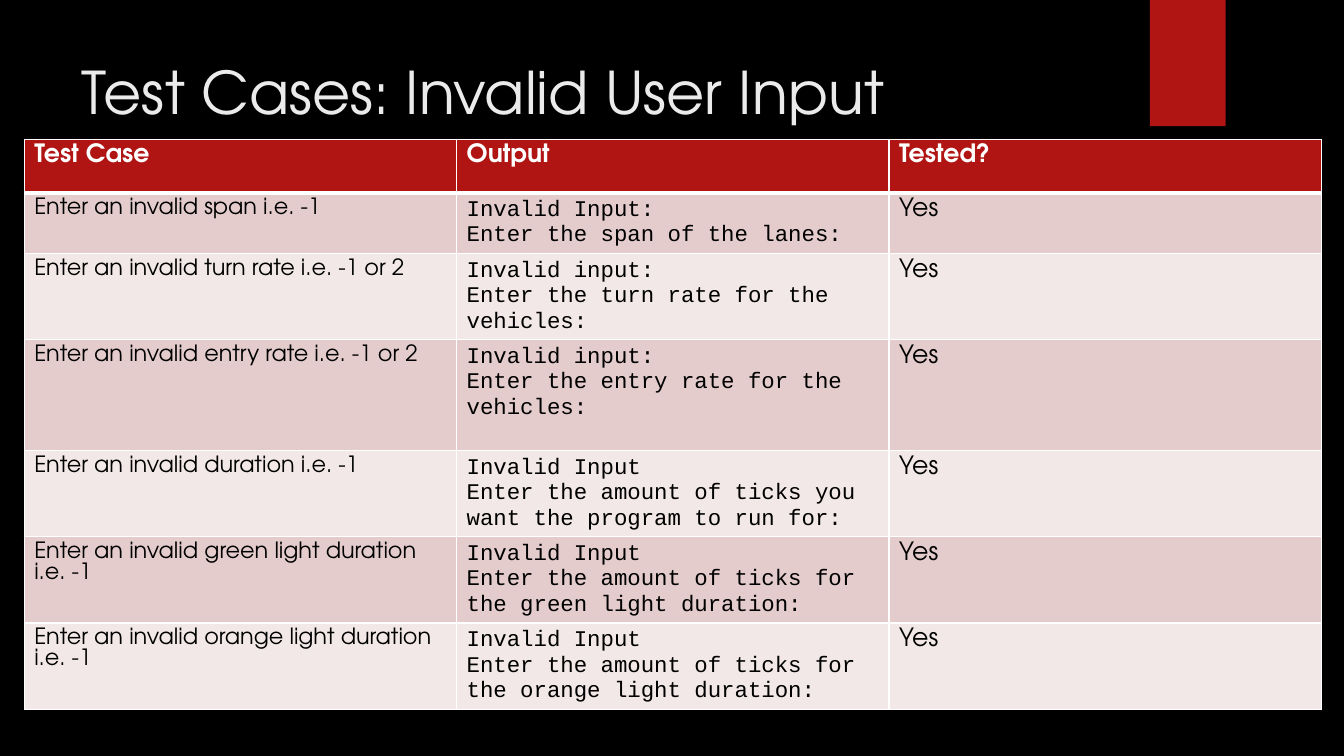
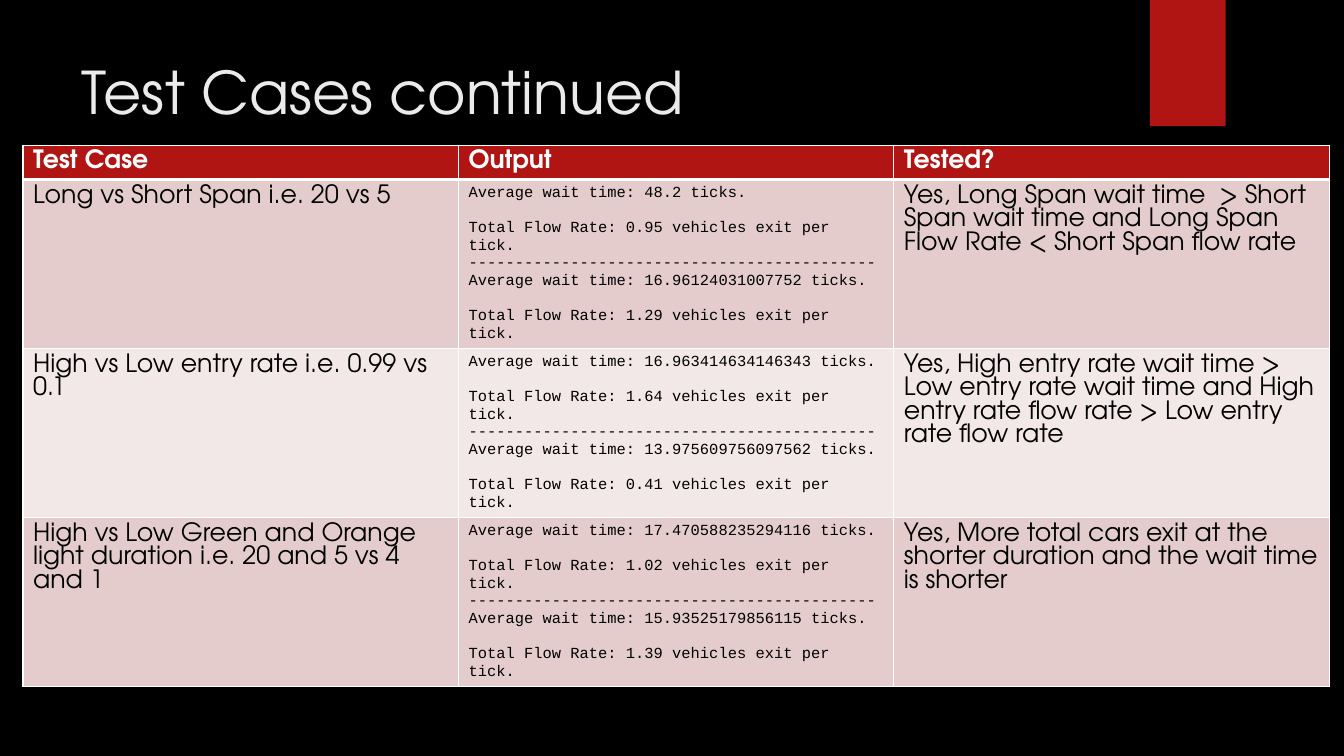
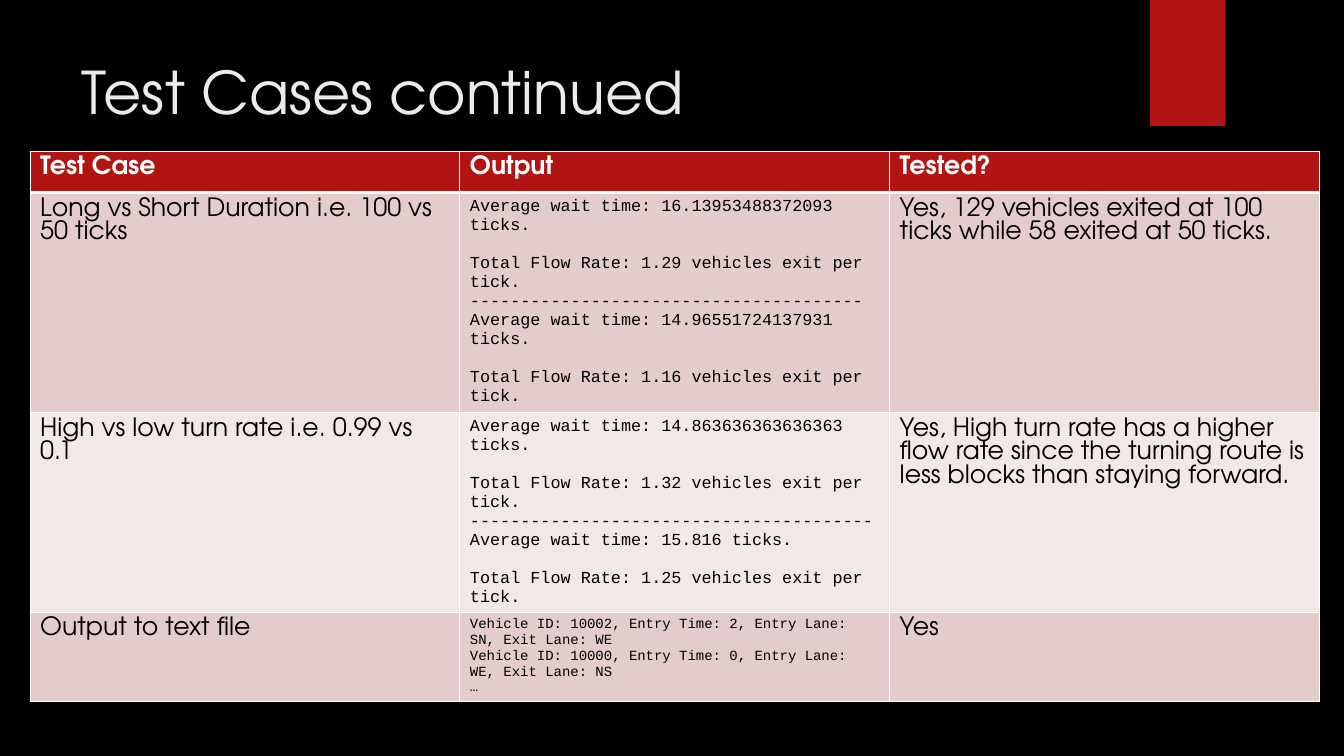
from dataclasses import dataclass

import lxml.etree
import pptx
import pptx.dml.color
import pptx.enum.shapes
import pptx.enum.text
import pptx.oxml
import pptx.oxml.ns
import pptx.util

Cm = pptx.util.Cm
Pt = pptx.util.Pt
A_NS = pptx.oxml.ns.nsdecls("a")


@dataclass(frozen=True)
class Theme:
    background: str = "000000"
    accent: str = "B01513"
    glow: str = "50B9C1"
    title: str = "EBEBEB"
    header: str = "FFFFFF"
    body: str = "000000"
    border: str = "FFFFFF"
    bands: tuple[str, str] = ("E4CCCC", "F2E8E7")
    font: str = "TeX Gyre Adventor"
    code_font: str = "Courier New"
    title_size: int = 42
    text_size: int = 18
    code_leading: float = 1.13


@dataclass(frozen=True)
class Case:
    height: float
    name: str
    output: tuple[str, ...]
    tested: str
    code_size: int


@dataclass(frozen=True)
class CaseSlide:
    title: str
    left: float
    top: float
    width: float
    header_height: float
    name_size: int
    cases: tuple[Case, ...]


THEME = Theme()
HEADINGS = ("Test Case", "Output", "Tested?")
FLOW_LABEL = "Total Flow Rate:"


def rgb(color: str) -> pptx.dml.color.RGBColor:
    return pptx.dml.color.RGBColor.from_string(color)


def write(p, text: str, *, size: float = THEME.text_size, color: str = THEME.body,
          font: str = THEME.font, bold: bool = False, before: float = 0) -> None:
    p.alignment = pptx.enum.text.PP_ALIGN.LEFT
    p.space_before = Pt(before)
    r = p.add_run()
    r.text = text
    r.font.name = font
    r.font.size = Pt(size)
    r.font.bold = bold
    r.font.color.rgb = rgb(color)


def write_output(tf, lines: tuple[str, ...], size: int) -> None:
    for i, line in enumerate(lines):
        p = tf.paragraphs[0] if i == 0 else tf.add_paragraph()
        gap = size * THEME.code_leading if line.startswith(FLOW_LABEL) else 0
        write(p, line, size=size, font=THEME.code_font, before=gap)


def style_cell(cell, color: str, top: float = 1, bottom: float = 1) -> None:
    cell.fill.solid()
    cell.fill.fore_color.rgb = rgb(color)
    tc_pr = cell.fill._xPr
    edges = (("L", 1), ("R", 1), ("T", top), ("B", bottom))
    for i, (side, width) in enumerate(edges):
        tc_pr.insert(i, pptx.oxml.parse_xml(
            f'<a:ln{side} {A_NS} w="{Pt(width)}"><a:solidFill>'
            f'<a:srgbClr val="{THEME.border}"/></a:solidFill></a:ln{side}>'))


def add_layout_shape(layout, s, kind, left: float, top: float,
                     width: float, height: float, color: str):
    sp = s.shapes.add_shape(kind, Cm(left), Cm(top), Cm(width), Cm(height))
    sp.shadow.inherit = False
    sp.fill.solid()
    sp.fill.fore_color.rgb = rgb(color)
    sp.line.fill.background()
    layout.shapes.element.append(sp.element)
    return sp


def add_glow(sp, color: str) -> None:
    stops = "".join(
        f'<a:gs pos="{pos}000"><a:srgbClr val="{color}">'
        f'<a:alpha val="{alpha}000"/></a:srgbClr></a:gs>'
        for pos, alpha in ((0, 7), (36, 6), (69, 0)))
    gradient = pptx.oxml.parse_xml(
        f'<a:gradFill {A_NS}><a:gsLst>{stops}</a:gsLst><a:path path="circle">'
        '<a:fillToRect l="50000" t="50000" r="50000" b="50000"/></a:path></a:gradFill>')
    solid = sp.element.spPr.find(pptx.oxml.ns.qn("a:solidFill"))
    solid.getparent().replace(solid, gradient)


def decorate(layout, s) -> None:
    shapes = pptx.enum.shapes.MSO_SHAPE
    glow = add_layout_shape(layout, s, shapes.OVAL, 23.9, 4.65, 7.82, 7.82, THEME.glow)
    add_glow(glow, THEME.glow)
    add_layout_shape(layout, s, shapes.RECTANGLE, 28.98, 0, 1.91, 3.18, THEME.accent)


def add_title(s, text: str) -> None:
    sp = s.shapes.title
    sp.left, sp.top, sp.width, sp.height = Cm(1.8), Cm(1.27), Cm(26.14), Cm(3.89)
    tf = sp.text_frame
    tf.word_wrap = True
    tf.auto_size = pptx.enum.text.MSO_AUTO_SIZE.NONE
    tf.vertical_anchor = pptx.enum.text.MSO_ANCHOR.TOP
    write(tf.paragraphs[0], text, size=THEME.title_size, color=THEME.title)


def add_cases(s, spec_slide: CaseSlide) -> None:
    heights = [spec_slide.header_height] + [case.height for case in spec_slide.cases]
    table = s.shapes.add_table(
        len(heights), len(HEADINGS), Cm(spec_slide.left), Cm(spec_slide.top),
        Cm(spec_slide.width), Cm(sum(heights))).table
    for row, height in zip(table.rows, heights):
        row.height = Cm(height)
    for col, heading in enumerate(HEADINGS):
        cell = table.cell(0, col)
        style_cell(cell, THEME.accent, bottom=3)
        write(cell.text_frame.paragraphs[0], heading, color=THEME.header, bold=True)
    for row, case in enumerate(spec_slide.cases, start=1):
        cells = [table.cell(row, col) for col in range(len(HEADINGS))]
        for cell in cells:
            style_cell(cell, THEME.bands[(row - 1) % 2], top=3 if row == 1 else 1)
        name, output, tested = (cell.text_frame for cell in cells)
        write(name.paragraphs[0], case.name, size=spec_slide.name_size)
        write_output(output, case.output, case.code_size)
        write(tested.paragraphs[0], case.tested)


def invalid(height: float, subject: str, message: str, prompt: str) -> Case:
    return Case(height, f"Enter an invalid {subject}", (message, prompt), "Yes", 16)


def comparison(height: float, name: str, first: tuple[str, str], second: tuple[str, str],
               tested: str, code_size: int, dashes: int) -> Case:
    def report(wait: str, flow: str) -> tuple[str, str]:
        return (f"Average wait time: {wait} ticks.",
                f"{FLOW_LABEL} {flow} vehicles exit per tick.")

    output = (*report(*first), "-" * dashes, *report(*second))
    return Case(height, name, output, tested, code_size)


SLIDES = (
    CaseSlide("Test Cases: Invalid User Input", 0.61, 3.51, 32.69, 1.35, 16, (
        invalid(1.5, "span i.e. -1", "Invalid Input:",
                "Enter the span of the lanes:"),
        invalid(2.13, "turn rate i.e. -1 or 2", "Invalid input:",
                "Enter the turn rate for the vehicles:"),
        invalid(2.79, "entry rate i.e. -1 or 2", "Invalid input:",
                "Enter the entry rate for the vehicles:"),
        invalid(2.13, "duration i.e. -1", "Invalid Input",
                "Enter the amount of ticks you want the program to run for:"),
        invalid(2.13, "green light duration i.e. -1", "Invalid Input",
                "Enter the amount of ticks for the green light duration:"),
        invalid(2.13, "orange light duration i.e. -1", "Invalid Input",
                "Enter the amount of ticks for the orange light duration:"),
    )),
    CaseSlide("Test Cases continued", 0.58, 3.66, 32.92, 0.86, 18, (
        comparison(4.26, "Long vs Short Span i.e. 20 vs 5",
                   ("48.2", "0.95"), ("16.96124031007752", "1.29"),
                   "Yes, Long Span wait time  > Short Span wait time and "
                   "Long Span Flow Rate < Short Span flow rate", 11, 44),
        comparison(4.26, "High vs Low entry rate i.e. 0.99 vs 0.1",
                   ("16.963414634146343", "1.64"), ("13.975609756097562", "0.41"),
                   "Yes, High entry rate wait time > Low entry rate wait time and "
                   "High entry rate flow rate > Low entry rate flow rate", 11, 44),
        comparison(4.26, "High vs Low Green and Orange light duration "
                   "i.e. 20 and 5 vs 4 and 1",
                   ("17.470588235294116", "1.02"), ("15.93525179856115", "1.39"),
                   "Yes, More total cars exit at the shorter duration and "
                   "the wait time is shorter", 11, 44),
    )),
    CaseSlide("Test Cases continued", 0.76, 3.81, 32.49, 1.04, 18, (
        comparison(5.54, "Long vs Short Duration i.e. 100 vs 50 ticks",
                   ("16.13953488372093", "1.29"), ("14.96551724137931", "1.16"),
                   "Yes, 129 vehicles exited at 100 ticks while 58 exited at 50 ticks.",
                   12, 39),
        comparison(5.03, "High vs low turn rate i.e. 0.99 vs 0.1",
                   ("14.863636363636363", "1.32"), ("15.816", "1.25"),
                   "Yes, High turn rate has a higher flow rate since the turning route "
                   "is less blocks than staying forward.", 12, 40),
        Case(2.24, "Output to text file",
             ("Vehicle ID: 10002, Entry Time: 2, Entry Lane: SN, Exit Lane: WE",
              "Vehicle ID: 10000, Entry Time: 0, Entry Lane: WE, Exit Lane: NS",
              "…"), "Yes", 10),
    )),
)


def main() -> None:
    prs = pptx.Presentation()
    prs.slide_width, prs.slide_height = Cm(33.87), Cm(19.05)
    fill = prs.slide_master.background.fill
    fill.solid()
    fill.fore_color.rgb = rgb(THEME.background)
    layout = prs.slide_layouts.get_by_name("Title Only")
    for i, case_slide in enumerate(SLIDES):
        s = prs.slides.add_slide(layout)
        if i == 0:
            decorate(layout, s)
        add_title(s, case_slide.title)
        add_cases(s, case_slide)


    prs.save("out.pptx")


main()
